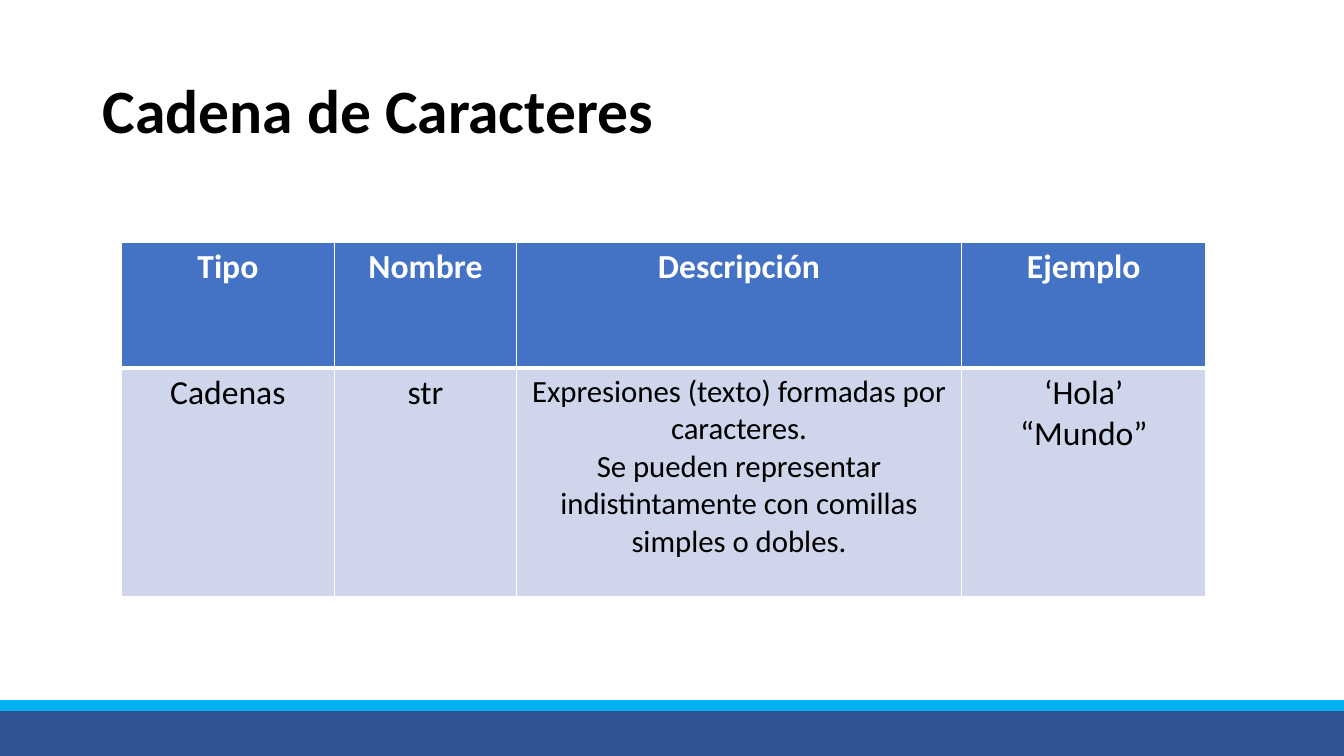
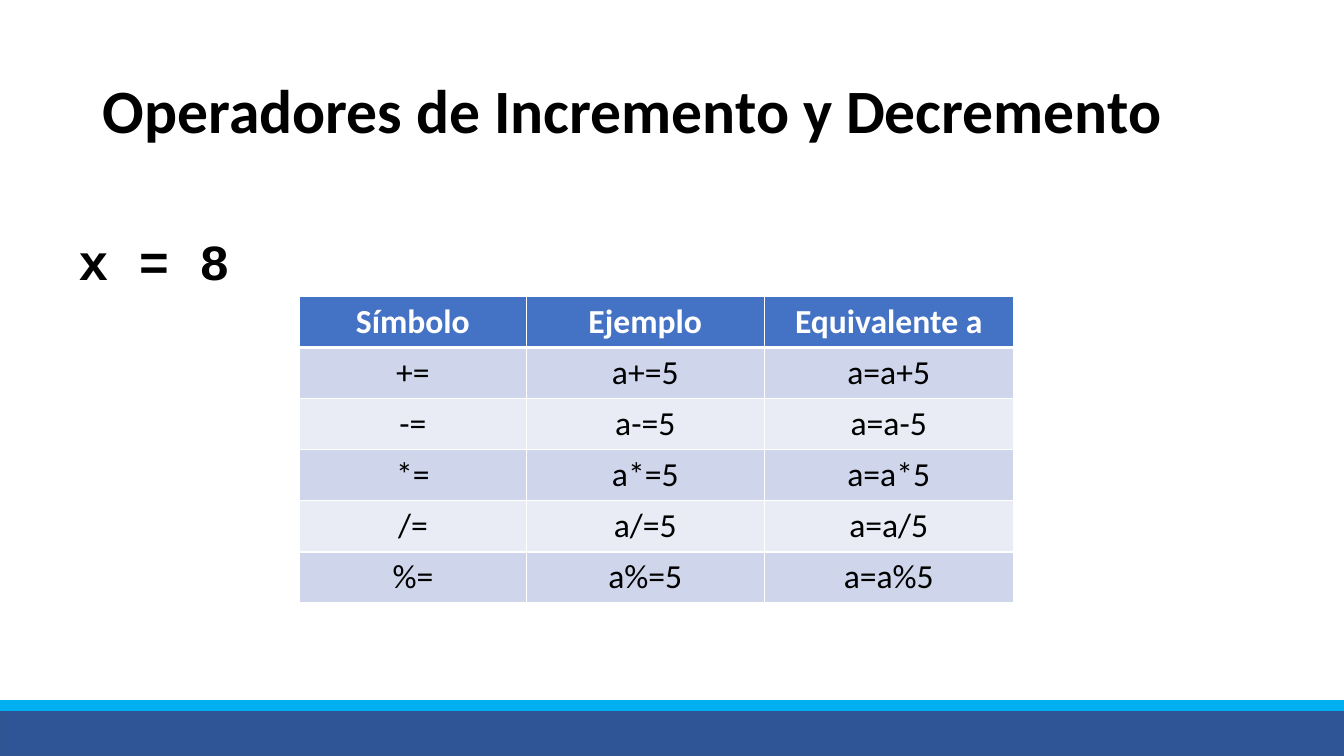
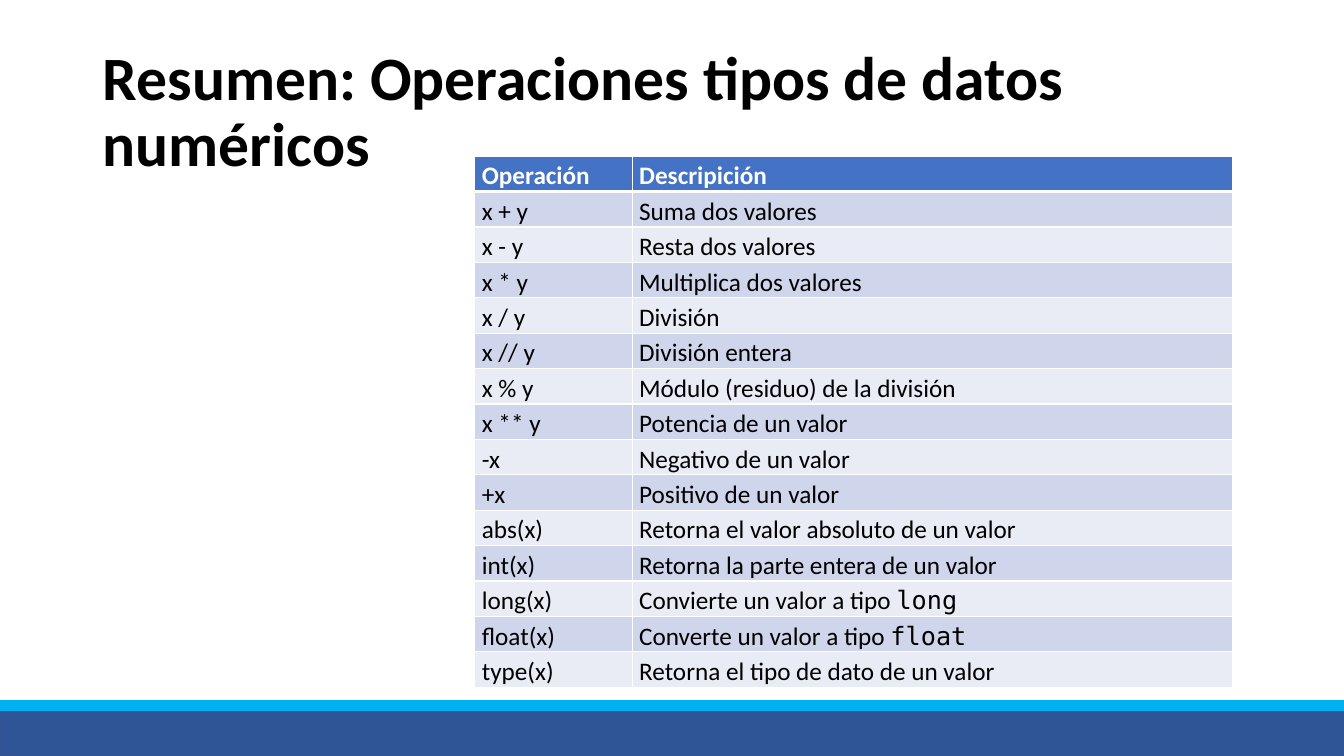
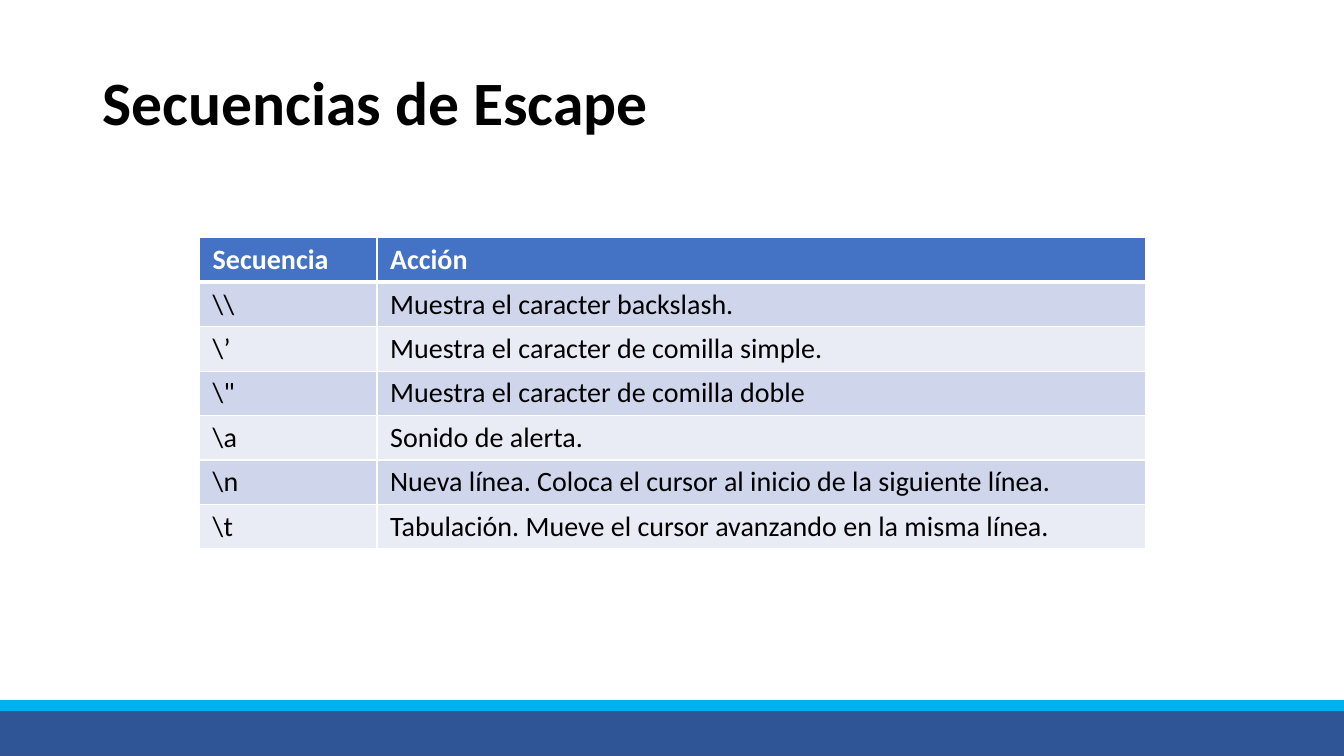
import pptx
import pptx.util
import pptx.dml.color
import pptx.enum.shapes
import pptx.enum.text
import pptx.oxml
import pptx.oxml.ns
from pptx.util import Inches

RGBColor = pptx.dml.color.RGBColor
BLACK = RGBColor(0x00, 0x00, 0x00)
WHITE = RGBColor(0xFF, 0xFF, 0xFF)
NAVY = RGBColor(0x2F, 0x55, 0x97)
NAVY_LINE = RGBColor(0x32, 0x54, 0x91)
CYAN = RGBColor(0x00, 0xB0, 0xF0)
HEADER = RGBColor(0x44, 0x72, 0xC4)
BAND_DARK = RGBColor(0xCF, 0xD5, 0xEA)
BAND_LIGHT = RGBColor(0xE9, 0xEB, 0xF5)
LEFT = pptx.enum.text.PP_ALIGN.LEFT
CENTER = pptx.enum.text.PP_ALIGN.CENTER


def add_text(p, text, size=24, font="Calibri", color=BLACK, bold=False, align=LEFT, spacing=1.0):
    p.alignment = align
    p.line_spacing = spacing
    r = p.add_run()
    r.text = text
    r.font.size = pptx.util.Pt(size)
    r.font.name = font
    r.font.color.rgb = color
    r.font.bold = bold


def add_border(cell, side, width):
    ln = pptx.oxml.parse_xml(
        f'<a:{side} {pptx.oxml.ns.nsdecls("a")} w="{pptx.util.Pt(width)}">'
        f'<a:solidFill><a:srgbClr val="{WHITE}"/></a:solidFill></a:{side}>'
    )
    cell._tc.get_or_add_tcPr().append(ln)


slides = [
    {
        "title": "Cadena de Caracteres", "top": 0.4,
        "at": (1.2, 2.4), "cols": (2.12, 1.8, 4.42, 2.42), "heights": (1.25, 2.27),
        "format": {"size": 24, "align": CENTER}, "inset": (0.1, 0.05),
        "sizes": {(1, 2): 22},
        "rows": [
            ("Tipo", "Nombre", "Descripción", "Ejemplo"),
            ("Cadenas", "str",
             "Expresiones (texto) formadas por caracteres.\n"
             "Se pueden representar indistintamente con comillas simples o dobles.",
             "‘Hola’\n“Mundo”"),
        ],
    },
    {
        "title": "Operadores de Incremento y Decremento", "top": 0.4,
        "at": (2.97, 2.94), "cols": (2.25, 2.36, 2.47), "heights": (0.5,) * 6,
        "format": {"size": 24, "align": CENTER}, "inset": (0.1, 0.05),
        "code": "x = 8",
        "rows": [("Símbolo", "Ejemplo", "Equivalente a")]
        + [(f"{op}=", f"a{op}=5", f"a=a{op}5") for op in "+-*/%"],
    },
    {
        "title": "Resumen: Operaciones tipos de datos numéricos", "top": 0.4,
        "at": (4.71, 1.55), "cols": (1.56, 5.96), "heights": (0.35,) * 15,
        "format": {"size": 18, "spacing": 1.15}, "inset": (0.07, 0),
        "mono": {(12, 1): "long", (13, 1): "float"},
        "rows": [
            ("Operación", "Descripición"),
            ("x + y", "Suma dos valores"),
            ("x - y", "Resta dos valores"),
            ("x * y", "Multiplica dos valores"),
            ("x / y", "División"),
            ("x // y", "División entera"),
            ("x % y", "Módulo (residuo) de la división"),
            ("x ** y", "Potencia de un valor"),
            ("-x", "Negativo de un valor"),
            ("+x", "Positivo de un valor"),
            ("abs(x)", "Retorna el valor absoluto de un valor"),
            ("int(x)", "Retorna la parte entera de un valor"),
            ("long(x)", "Convierte un valor a tipo "),
            ("float(x)", "Converte un valor a tipo "),
            ("type(x)", "Retorna el tipo de dato de un valor"),
        ],
    },
    {
        "title": "Secuencias de Escape", "top": 0.32,
        "at": (1.98, 2.36), "cols": (1.76, 7.62), "heights": (0.44,) * 7,
        "format": {"size": 20}, "inset": (0.13, 0.05),
        "rows": [
            ("Secuencia", "Acción"),
            (r"\\", "Muestra el caracter backslash."),
            (r"\’", "Muestra el caracter de comilla simple."),
            (r"\"", "Muestra el caracter de comilla doble"),
            (r"\a", "Sonido de alerta."),
            (r"\n", "Nueva línea. Coloca el cursor al inicio de la siguiente línea."),
            (r"\t", "Tabulación. Mueve el cursor avanzando en la misma línea."),
        ],
    },
]

prs = pptx.Presentation()
prs.slide_width = Inches(13.33)
prs.slide_height = Inches(7.5)
layout = prs.slide_layouts.get_by_name("Title Only")

for i, spec_data in enumerate(slides):
    s = prs.slides.add_slide(layout)

    if i == 0:
        for top, height, fill, line in ((7.03, 0.47, NAVY, NAVY_LINE), (6.95, 0.1, CYAN, CYAN)):
            sp = s.shapes.add_shape(
                pptx.enum.shapes.MSO_SHAPE.RECTANGLE, 0, Inches(top), prs.slide_width, Inches(height)
            )
            sp.shadow.inherit = False
            sp.fill.solid()
            sp.fill.fore_color.rgb = fill
            sp.line.color.rgb = line
            sp.line.width = pptx.util.Pt(1)
            layout.shapes._spTree.append(sp._element)

    title = s.shapes.title
    title.left, title.top = Inches(0.92), Inches(spec_data["top"])
    title.width, title.height = Inches(11.5), Inches(1.45)
    tf = title.text_frame
    tf.word_wrap = True
    tf.auto_size = pptx.enum.text.MSO_AUTO_SIZE.NONE
    tf.vertical_anchor = pptx.enum.text.MSO_ANCHOR.MIDDLE
    add_text(tf.paragraphs[0], spec_data["title"], size=44, bold=True, spacing=0.9)

    rows, cols, heights = spec_data["rows"], spec_data["cols"], spec_data["heights"]
    left, top = spec_data["at"]
    table = s.shapes.add_table(
        len(rows), len(cols), Inches(left), Inches(top), Inches(sum(cols)), Inches(sum(heights))
    ).table
    table.horz_banding = False
    for column, width in zip(table.columns, cols):
        column.width = Inches(width)
    for row, height in zip(table.rows, heights):
        row.height = Inches(height)

    for y, row in enumerate(rows):
        for x, text in enumerate(row):
            cell = table.cell(y, x)
            inset_x, inset_y = spec_data["inset"]
            cell.margin_left = cell.margin_right = Inches(inset_x)
            cell.margin_top = cell.margin_bottom = Inches(inset_y)
            for side in ("lnL", "lnR", "lnT", "lnB"):
                add_border(cell, side, 3 if y == 0 and side == "lnB" else 1)
            cell.fill.solid()
            cell.fill.fore_color.rgb = HEADER if y == 0 else BAND_DARK if y % 2 else BAND_LIGHT

            style = dict(spec_data["format"], color=BLACK if y else WHITE, bold=y == 0)
            style["size"] = spec_data.get("sizes", {}).get((y, x), style["size"])
            tf = cell.text_frame
            for n, line in enumerate(text.split("\n")):
                p = tf.add_paragraph() if n else tf.paragraphs[0]
                add_text(p, line, **style)
            word = spec_data.get("mono", {}).get((y, x))
            if word:
                add_text(p, word, font="DejaVu Sans Mono", **style)

    if "code" in spec_data:
        tf = s.shapes.add_textbox(Inches(0.68), Inches(2.23), Inches(1.9), Inches(0.71)).text_frame
        tf.word_wrap = True
        add_text(tf.paragraphs[0], spec_data["code"], size=36, font="Courier New", bold=True)

prs.save("out.pptx")
